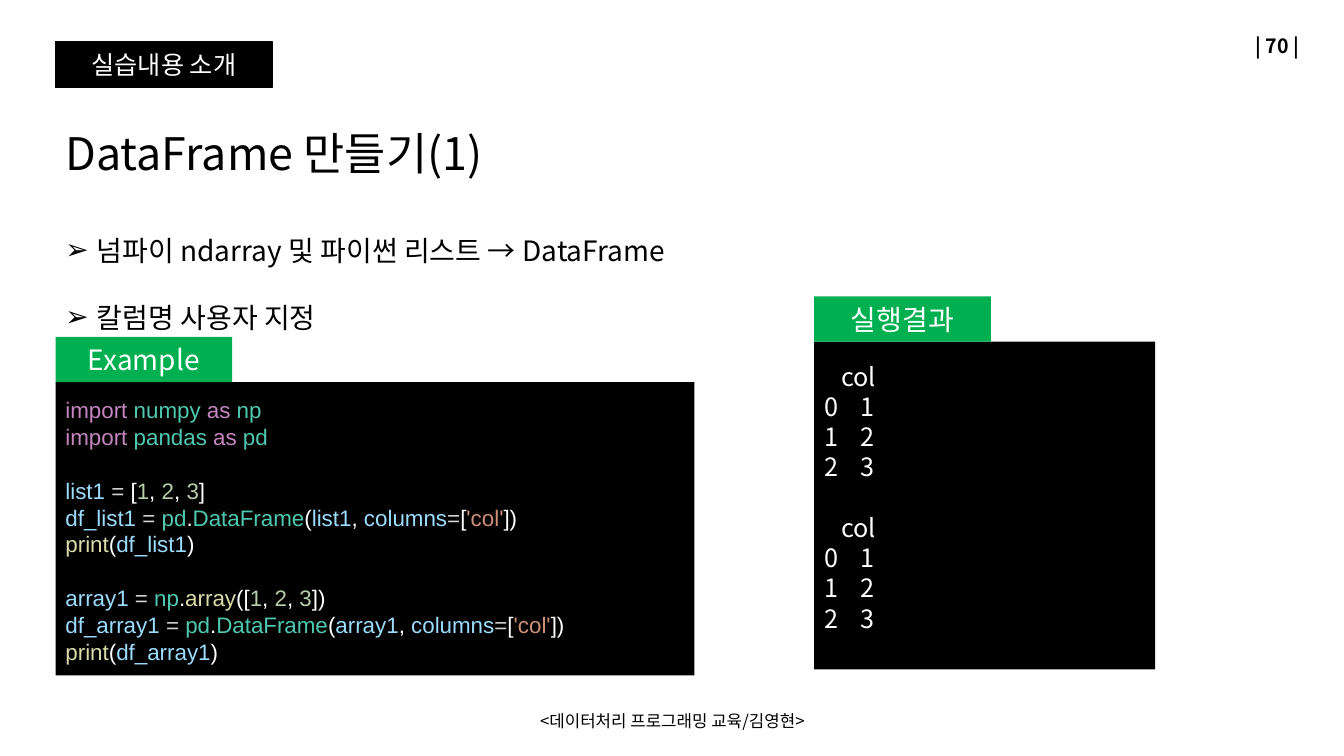
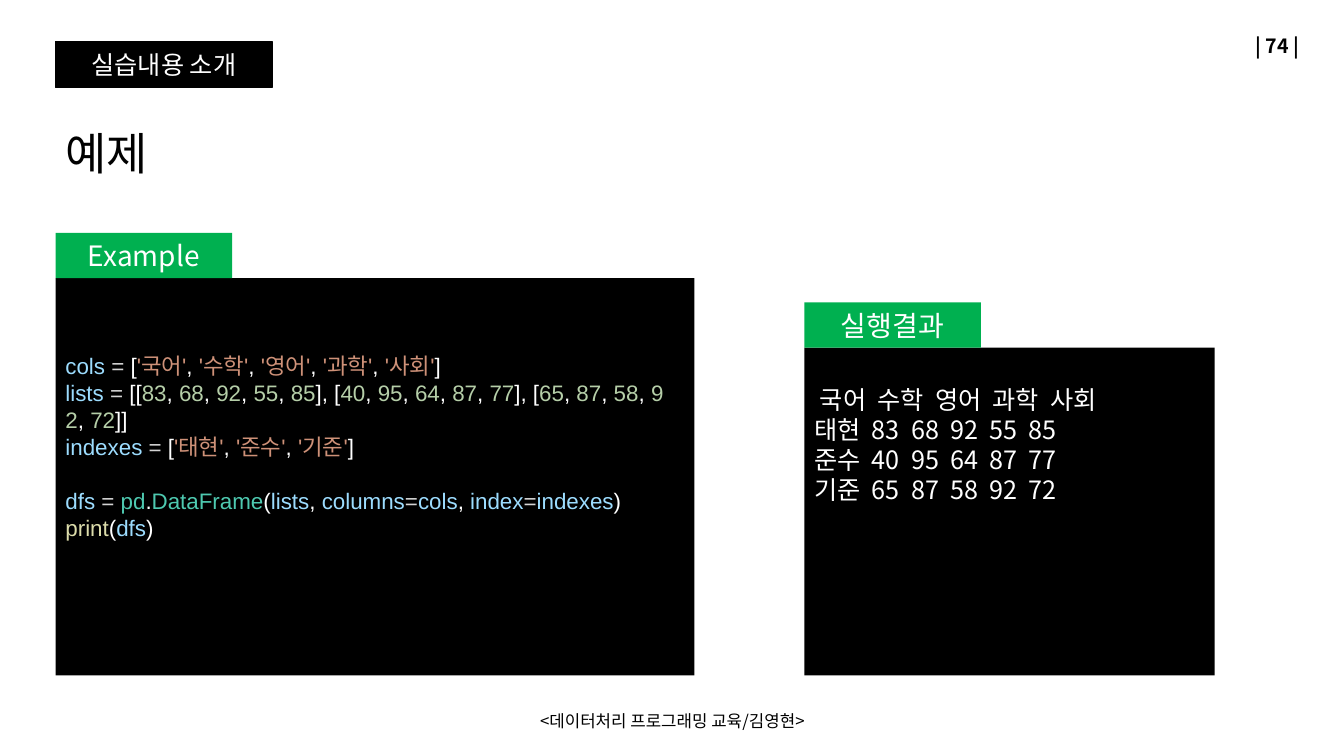
import itertools

import pptx
import pptx.dml.color
import pptx.enum.shapes
import pptx.enum.text
import pptx.oxml
import pptx.oxml.ns
import pptx.util

Cm, Pt = pptx.util.Cm, pptx.util.Pt
RGBColor = pptx.dml.color.RGBColor
ALIGN = pptx.enum.text.PP_ALIGN
ANCHOR = pptx.enum.text.MSO_ANCHOR
RECT = pptx.enum.shapes.MSO_SHAPE.RECTANGLE

BLACK = RGBColor(0x00, 0x00, 0x00)
WHITE = RGBColor(0xFF, 0xFF, 0xFF)
GREEN = RGBColor(0x00, 0xB0, 0x50)
KEYWORD = RGBColor(0xC5, 0x86, 0xC0)
TYPE = RGBColor(0x4E, 0xC9, 0xB0)
FUNCTION = RGBColor(0xDC, 0xDC, 0xAA)
VARIABLE = RGBColor(0x9C, 0xDC, 0xFE)
NUMBER = RGBColor(0xB5, 0xCE, 0xA8)
STRING = RGBColor(0xCE, 0x91, 0x78)
OPERATOR = RGBColor(0xD4, 0xD4, 0xD4)

WORD_COLORS = {
    "import": KEYWORD, "as": KEYWORD,
    "numpy": TYPE, "np": TYPE, "pandas": TYPE, "pd": TYPE, "DataFrame": TYPE,
    "print": FUNCTION, "array": FUNCTION,
}

FONT, CODE_FONT = "Noto Sans CJK KR", "Arial"
LINE_HEIGHT = 1.2
NBSP = chr(160)
LEFT = 1.4
TAB_W, TAB_H = 4.45, 1.14

SECTION = "실습내용 소개"
FOOTER = "<데이터처리 프로그래밍 교육/김영현>"

# Panels: "box" is the black body, "text_top" the top of its text, in cm.
SLIDES = [
    {
        "page": 70,
        "title": "DataFrame 만들기(1)",
        "bullets": ["넘파이 ndarray 및 파이썬 리스트 → DataFrame", "칼럼명 사용자 지정"],
        "code": {"box": (LEFT, 9.63, 16.1, 7.39), "text_top": 9.86, "text": """\
import numpy as np
import pandas as pd

list1 = [1, 2, 3]
df_list1 = pd.DataFrame(list1, columns=['col'])
print(df_list1)

array1 = np.array([1, 2, 3])
df_array1 = pd.DataFrame(array1, columns=['col'])
print(df_array1)"""},
        "result": {"box": (20.52, 8.61, 8.59, 8.26), "text_top": 8.97, "text": """\
   col
0    1
1    2
2    3

   col
0    1
1    2
2    3"""},
    },
    {
        "page": 74,
        "title": "예제",
        "bullets": [],
        "code": {"box": (LEFT, 7.01, 16.1, 10.01), "text_top": 8.76, "text": """\
cols = ['국어', '수학', '영어', '과학', '사회']
lists = [[83, 68, 92, 55, 85], [40, 95, 64, 87, 77], [65, 87, 58, 92, 72]]
indexes = ['태현', '준수', '기준']

dfs = pd.DataFrame(lists, columns=cols, index=indexes)
print(dfs)"""},
        "result": {"box": (20.27, 8.76, 10.34, 8.26), "text_top": 9.55, "text": """\
 국어  수학  영어  과학  사회
태현  83  68  92  55  85
준수  40  95  64  87  77
기준  65  87  58  92  72"""},
    },
]


def add_run(p, text, size, color, name=FONT, bold=False):
    r = p.add_run()
    r.text = text
    for key, value in {"name": name, "size": Pt(size), "bold": bold}.items():
        setattr(r.font, key, value)
    r.font.color.rgb = color
    ea = pptx.oxml.parse_xml(
        f'<a:ea {pptx.oxml.ns.nsdecls("a")} typeface="{FONT}"/>')
    r.font._element.append(ea)


def add_textbox(slide, box, anchor=ANCHOR.TOP):
    tf = slide.shapes.add_textbox(*map(Cm, box)).text_frame
    tf.word_wrap = True
    tf.vertical_anchor = anchor
    return tf


def add_label(slide, box, text, size, align=ALIGN.LEFT, anchor=ANCHOR.MIDDLE, bold=False):
    p = add_textbox(slide, box, anchor).paragraphs[0]
    p.alignment = align
    add_run(p, text, size, BLACK, bold=bold)


def add_rect(slide, box, fill, text="", size=20):
    sp = slide.shapes.add_shape(RECT, *map(Cm, box))
    sp.shadow.inherit = False
    sp.fill.solid()
    sp.fill.fore_color.rgb = fill
    sp.line.fill.background()
    if text:
        tf = sp.text_frame
        tf.vertical_anchor = ANCHOR.MIDDLE
        tf.paragraphs[0].alignment = ALIGN.CENTER
        add_run(tf.paragraphs[0], text, size, WHITE)
    return sp


def add_bullets(slide, items):
    tf = add_textbox(slide, (LEFT, 4.9, 29.64, 3.45))
    for i, item in enumerate(items):
        p = tf.add_paragraph() if i else tf.paragraphs[0]
        p.line_spacing = 2.0
        pPr = p._p.get_or_add_pPr()
        pPr.set("marL", str(Cm(0.79)))
        pPr.set("indent", str(-Cm(0.79)))
        for tag, attr, value in (("buFont", "typeface", "Arial"), ("buChar", "char", "➢")):
            pPr.append(pptx.oxml.parse_xml(
                f'<a:{tag} {pptx.oxml.ns.nsdecls("a")} {attr}="{value}"/>'))
        add_run(p, item, 20, BLACK)


def char_kind(c):
    return "word" if c.isalnum() or c == "_" else "=" if c == "=" else "other"


def code_tokens(line):
    """Yield (text, color) for each piece of one line of Python."""
    for i, part in enumerate(line.split("'")):
        if i % 2:
            yield f"'{part}'", STRING
            continue
        for kind, chars in itertools.groupby(part, char_kind):
            text = "".join(chars)
            if kind == "word":
                color = NUMBER if text.isdigit() else WORD_COLORS.get(text, VARIABLE)
            else:
                color = OPERATOR if kind == "=" else WHITE
            yield text.replace(" ", NBSP), color


def plain_tokens(line):
    yield line, WHITE


def add_panel(slide, label, panel, tokens, size, name):
    """Add a black box with a green tab; a blank line becomes space before the next."""
    x, y, w, h = panel["box"]
    add_rect(slide, panel["box"], BLACK)
    add_rect(slide, (x, y - TAB_H, TAB_W, TAB_H), GREEN, label)
    top = panel["text_top"]
    tf = add_textbox(slide, (x, top, w - 0.25, y + h - top))
    p, gap = tf.paragraphs[0], False
    for i, line in enumerate(panel["text"].split("\n")):
        if not line:
            gap = True
            continue
        if i:
            p = tf.add_paragraph()
        if gap:
            p.space_before = Pt(size * LINE_HEIGHT)
            gap = False
        for text, color in tokens(line):
            add_run(p, text, size, color, name)


def add_frame(slide, page, title):
    """Add the parts every slide has: page number, section badge, title and footer."""
    add_label(slide, (25.37, 0.64, 7.62, 1.02), f"| {page} |", 14, ALIGN.RIGHT, bold=True)
    badge = add_rect(slide, (LEFT, 1.04, 5.46, 1.17), BLACK, SECTION, 18)
    badge.line.color.rgb = BLACK
    badge.line.width = Pt(1)
    add_label(slide, (LEFT, 2.84, 24.71, 1.8), title, 32, anchor=ANCHOR.BOTTOM)
    add_label(slide, (11.23, 17.65, 11.43, 1.02), FOOTER, 12, ALIGN.CENTER)


def main():
    prs = pptx.Presentation()
    prs.slide_width, prs.slide_height = Cm(33.87), Cm(19.05)
    for content in SLIDES:
        slide = prs.slides.add_slide(prs.slide_layouts[6])
        add_frame(slide, content["page"], content["title"])
        if content["bullets"]:
            add_bullets(slide, content["bullets"])
        add_panel(slide, "Example", content["code"], code_tokens, 16, CODE_FONT)
        add_panel(slide, "실행결과", content["result"], plain_tokens, 18, FONT)
    prs.save("out.pptx")


if __name__ == "__main__":
    main()
